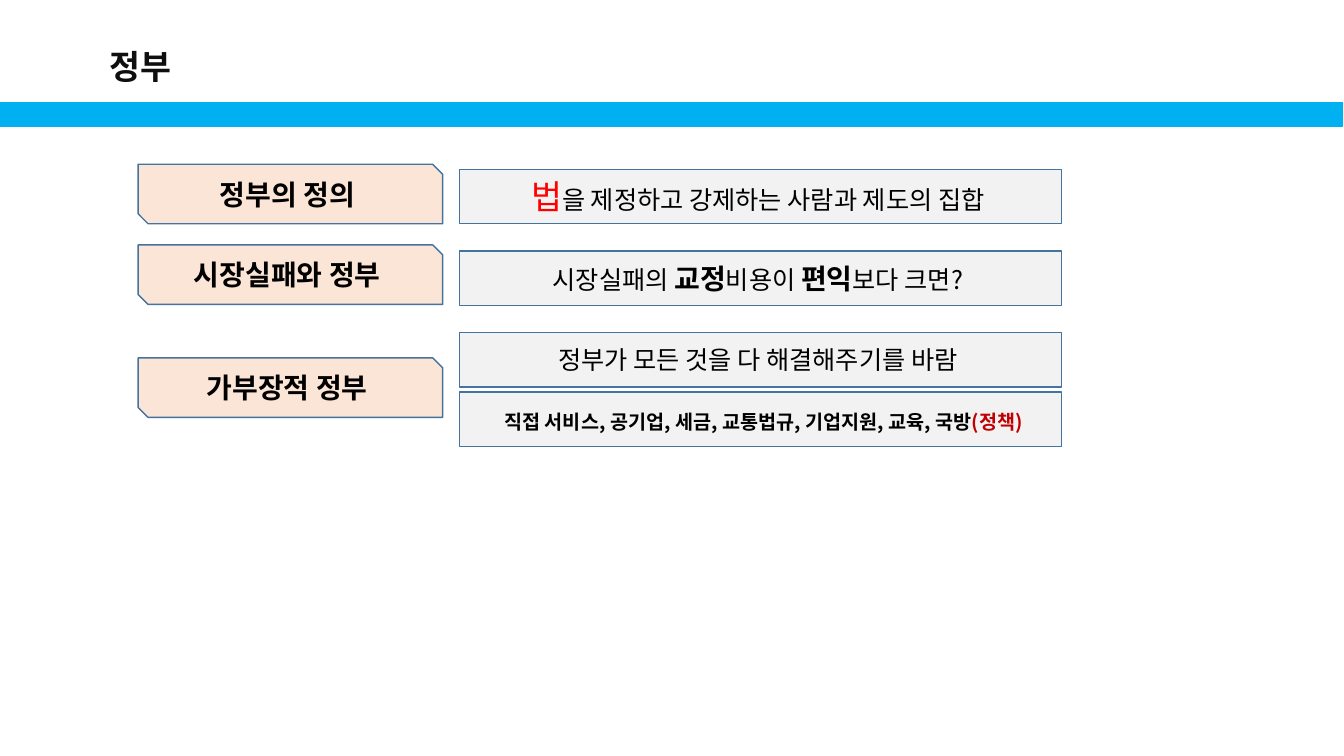
from lxml.etree import SubElement
from pptx import Presentation
from pptx.dml.color import RGBColor
from pptx.enum.shapes import MSO_SHAPE as Shape
from pptx.enum.text import MSO_ANCHOR as Anchor, MSO_AUTO_SIZE as Auto, PP_ALIGN as Align
from pptx.oxml.ns import qn
from pptx.util import Inches, Pt

WIDE, HIGH = 13.33, 7.5
BLACK, EDGE = "000000", "43739E"
SANS = "Noto Sans CJK KR"
LEFT, MID = 1.37, 4.56
TOP, STEP = 1.68, 0.81
LABEL, FACT = (3.02, 0.59), (5.97, 0.54)


def tint(code):
    return RGBColor.from_string(code)


def place(box):
    return [Inches(n) for n in box]


def style(font, size, bold, color):
    font.size = Pt(size)
    font.bold = bold
    font.color.rgb = tint(color)


def write(par, runs, face):
    par.font.name = face
    base = par.font._element
    SubElement(base, qn("a:ea")).set("typeface", face)
    if len(runs) == 1:
        style(par.font, *runs[0][1:])
    for text, *look in runs:
        run = par.add_run()
        run.text = text
        if len(runs) > 1:
            style(run.font, *look)


def panel(slide, kind, box, fill, edge, width, runs=()):
    shape = slide.shapes.add_shape(kind, *place(box))
    shape.shadow.inherit = False
    shape.fill.solid()
    shape.fill.fore_color.rgb = tint(fill)
    shape.line.color.rgb = tint(edge)
    shape.line.width = Pt(width)
    if runs:
        frame = shape.text_frame
        frame.word_wrap = True
        frame.vertical_anchor = Anchor.MIDDLE
        par = frame.paragraphs[0]
        par.alignment = Align.CENTER
        write(par, runs, SANS)


def header(slide, box, title):
    x, y, w, h = box
    panel(slide, Shape.RECTANGLE, (x, y + h - 0.26, w, 0.26), "00B0F0", "FFFFFF", 0.75)
    area = slide.shapes.add_textbox(*place((x + 0.99, y + 0.41, 1, 0.5)))
    frame = area.text_frame
    frame.word_wrap = True
    frame.auto_size = Auto.SHAPE_TO_FIT_TEXT
    write(frame.paragraphs[0], [(title, 24, True, "0F0F0F")], "Open Sans")


def label(slide, y, text):
    panel(slide, Shape.SNIP_2_DIAG_RECTANGLE, (LEFT, y, *LABEL), "FBE5D6", EDGE, 1,
          [(text, 20, True, BLACK)])


def fact(slide, y, runs):
    panel(slide, Shape.RECTANGLE, (MID, y, *FACT), "F2F2F2", EDGE, 1, runs)


def topics(slide, top):
    names = ["정부의 정의 ", "시장실패와 정부 ", "가부장적 정부 "]
    for y, name in zip((top - 0.05, top + 0.75, top + 1.87), names):
        label(slide, y, name)
    facts = [
        [("법", 24, False, "FF0000"),
         ("을 제정하고 강제하는 사람과 제도의 집합 ", 18, False, BLACK)],
        [("시장실패의 ", 18, False, BLACK), ("교정", 20, True, BLACK),
         ("비용이 ", 18, False, BLACK), ("편익", 20, True, BLACK),
         ("보다 크면? ", 18, False, BLACK)],
        [("정부가 모든 것을 다 해결해주기를 바람 ", 18, False, BLACK)],
    ]
    for row, runs in enumerate(facts):
        fact(slide, top + row * STEP, runs)
    fact(slide, top + 2 * STEP + FACT[1] + 0.05, [
        (" ", 18, False, BLACK),
        ("직접 서비스, 공기업, 세금, 교통법규, 기업지원, 교육, 국방", 14, True, BLACK),
        ("(정책)", 14, True, "C00000")])


def main():
    deck = Presentation()
    deck.slide_width, deck.slide_height = place((WIDE, HIGH))
    slide = deck.slides.add_slide(deck.slide_layouts[6])
    header(slide, (0, 0, WIDE, 1.27), "정부")
    topics(slide, TOP)
    deck.save("out.pptx")


if __name__ == "__main__":
    main()
